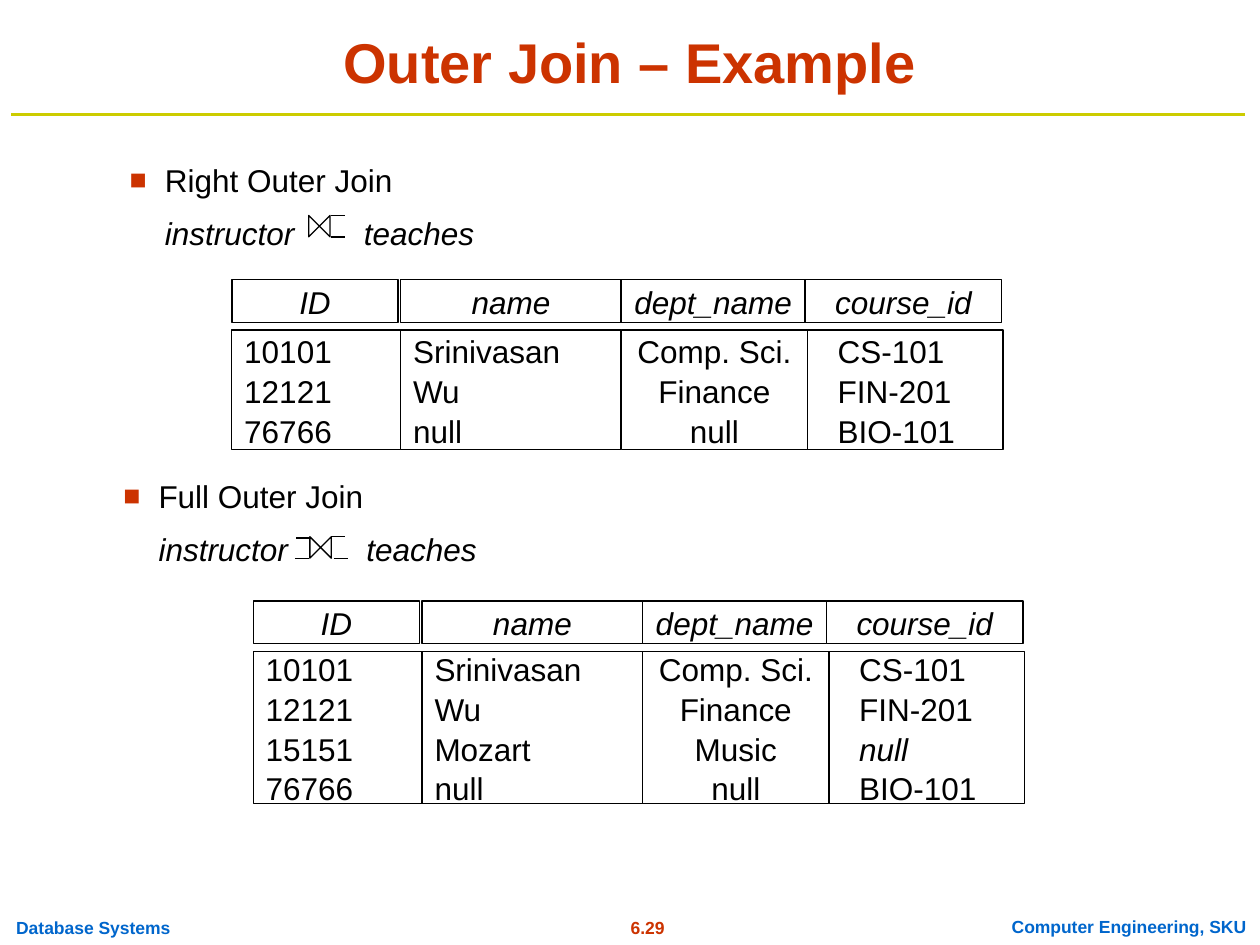
from lxml import etree
from pptx import Presentation
from pptx.dml.color import RGBColor
from pptx.enum.shapes import MSO_CONNECTOR, MSO_SHAPE
from pptx.enum.text import MSO_ANCHOR, PP_ALIGN
from pptx.oxml.ns import qn
from pptx.util import Inches, Pt

RED = RGBColor(0xCC, 0x33, 0x00)
BLUE = RGBColor(0x00, 0x66, 0xCC)
OLIVE = RGBColor(0xCC, 0xCC, 0x00)
BLACK = RGBColor(0, 0, 0)
WHITE = RGBColor(0xFF, 0xFF, 0xFF)
FONT = "Arial"
LEFT, CENTER = PP_ALIGN.LEFT, PP_ALIGN.CENTER

# Content
TITLE = "Outer Join – Example"
FOOTERS = [  # text, left, top, width, colour, alignment
    ("6.29", 4.65, 7.23, 0.98, RED, CENTER),
    ("Database Systems", 0.03, 7.23, 1.42, BLUE, LEFT),
    ("Computer Engineering, SKU", 7.93, 7.22, 2.06, BLUE, CENTER),
]
# Column: header, left offset, width, body left offset, body width, alignment, indent
COLUMNS = [
    ("ID", 0, 1.32, 0, 1.34, LEFT, 0),
    ("name", 1.34, 1.75, 1.34, 1.75, LEFT, 0),
    ("dept_name", 3.09, 1.46, 3.09, 1.48, CENTER, 0),
    ("course_id", 4.55, 1.56, 4.57, 1.55, LEFT, 0.14),
]
JOINS = [
    dict(heading="Right Outer Join", left=0.93, top=1.21, operand_tab=1.86,
         bowtie=(2.45, 1.71), bars=[(2.63, 1.71), (2.63, 1.88)],
         grid=(1.84, 2.22), body_height=0.95, italic_cells=[],
         rows=[("10101", "Srinivasan", "Comp. Sci.", "CS-101"),
               ("12121", "Wu", "Finance", "FIN-201"),
               ("76766", "null", "null", "BIO-101")]),
    dict(heading="Full Outer Join", left=0.88, top=3.72, operand_tab=1.93,
         bowtie=(2.46, 4.26),
         bars=[(2.35, 4.27), (2.34, 4.43), (2.65, 4.43), (2.63, 4.26)],
         grid=(2.01, 4.77), body_height=1.21, italic_cells=[(2, 3)],
         rows=[("10101", "Srinivasan", "Comp. Sci.", "CS-101"),
               ("12121", "Wu", "Finance", "FIN-201"),
               ("15151", "Mozart", "Music", "null"),
               ("76766", "null", "null", "BIO-101")]),
]
HEADER_HEIGHT, BODY_OFFSET = 0.34, 0.4
BOWTIE_SIZE, BAR_LENGTH = 0.17, 0.11
TEXT_INDENT = 0.28


def style(paragraph, size, color=BLACK, bold=False, italic=False, align=LEFT):
    paragraph.alignment = align
    for run in paragraph.runs:
        font = run.font
        font.name, font.size, font.bold, font.italic = FONT, Pt(size), bold, italic
        font.color.rgb = color


def add_line(shapes, x1, y1, x2, y2, color, width):
    line = shapes.add_connector(MSO_CONNECTOR.STRAIGHT, Inches(x1), Inches(y1),
                                Inches(x2), Inches(y2))
    line.line.color.rgb, line.line.width = color, Pt(width)
    etree.SubElement(line._element.spPr, qn("a:effectLst"))


def outline(shape):
    shape.shadow.inherit = False
    shape.line.color.rgb, shape.line.width = BLACK, Pt(0.75)


def add_bullet(paragraph):
    props = paragraph._p.get_or_add_pPr()
    props.set("marL", str(Inches(TEXT_INDENT)))
    props.set("indent", str(-Inches(TEXT_INDENT)))
    color = etree.SubElement(props, qn("a:buClr"))
    etree.SubElement(color, qn("a:srgbClr"), val=str(RED))
    etree.SubElement(props, qn("a:buSzPct"), val="90000")
    etree.SubElement(props, qn("a:buFont"), typeface=FONT)
    etree.SubElement(props, qn("a:buChar"), char="■")


def add_tabs(paragraph, positions):
    tabs = etree.SubElement(paragraph._p.get_or_add_pPr(), qn("a:tabLst"))
    for position in positions:
        etree.SubElement(tabs, qn("a:tab"), pos=str(Inches(position)), algn="l")


def add_box(left, top, width, height, lines, align=LEFT, header=False,
            indent=0, italic_lines=()):
    box = slide.shapes.add_shape(MSO_SHAPE.RECTANGLE, Inches(left), Inches(top),
                                 Inches(width), Inches(height))
    outline(box)
    box.fill.solid()
    box.fill.fore_color.rgb = WHITE
    frame = box.text_frame
    frame.word_wrap, frame.vertical_anchor = True, MSO_ANCHOR.MIDDLE
    if header:
        frame.margin_left = frame.margin_right = 0
    frame.text = "\n".join(lines)
    for number, paragraph in enumerate(frame.paragraphs):
        style(paragraph, 18, italic=header or number in italic_lines, align=align)
        paragraph.line_spacing = 1.05
        if indent:
            paragraph._p.get_or_add_pPr().set("marL", str(Inches(indent)))


def add_expression(join):
    box = slide.shapes.add_textbox(Inches(join["left"]), Inches(join["top"]),
                                   Inches(4.45), Inches(0.81))
    frame = box.text_frame
    frame.word_wrap = True
    frame.text = join["heading"] + "\n\tinstructor\tteaches"
    heading, operands = frame.paragraphs
    for paragraph in (heading, operands):
        style(paragraph, 18, italic=paragraph is operands)
        paragraph.line_spacing, paragraph.space_before = 1.05, Pt(7.9)
    add_bullet(heading)
    add_tabs(operands, [TEXT_INDENT, join["operand_tab"]])


def add_join_symbol(join):
    symbol = slide.shapes.add_group_shape().shapes
    x, y = join["bowtie"]
    bowtie = symbol.add_shape(MSO_SHAPE.FLOWCHART_COLLATE, Inches(x), Inches(y),
                              Inches(BOWTIE_SIZE), Inches(BOWTIE_SIZE))
    outline(bowtie)
    bowtie.fill.background()
    bowtie.rotation = 270
    for x, y in join["bars"]:
        add_line(symbol, x, y, x + BAR_LENGTH, y, BLACK, 0.75)


def add_relation(join):
    left, top = join["grid"]
    cells = zip(*join["rows"])
    for index, (column, values) in enumerate(zip(COLUMNS, cells)):
        name, x, width, body_x, body_width, align, indent = column
        italics = [row for row, col in join["italic_cells"] if col == index]
        add_box(left + x, top, width, HEADER_HEIGHT, [name], CENTER, header=True)
        add_box(left + body_x, top + BODY_OFFSET, body_width, join["body_height"],
                values, align, indent=indent, italic_lines=italics)


prs = Presentation()
prs.slide_width, prs.slide_height = Inches(10), Inches(7.5)
slide = prs.slides.add_slide(prs.slide_layouts[5])

# Title and rule
title = slide.shapes.title
title.left, title.top = Inches(0.12), Inches(0.13)
title.width, title.height = Inches(9.76), Inches(0.67)
title.text_frame.text = TITLE
title.text_frame.vertical_anchor = MSO_ANCHOR.BOTTOM
style(title.text_frame.paragraphs[0], 32, RED, bold=True, align=CENTER)
add_line(slide.shapes, 0.09, 0.91, 9.88, 0.91, OLIVE, 2)

# Footer
for text, left, top, width, color, align in FOOTERS:
    footer = slide.shapes.add_textbox(Inches(left), Inches(top), Inches(width), Inches(0.27))
    footer.text_frame.word_wrap = False
    footer.text_frame.text = text
    style(footer.text_frame.paragraphs[0], 10, color, bold=True, align=align)

# Joins with their result relations
for join in JOINS:
    add_expression(join)
    add_join_symbol(join)
    add_relation(join)

prs.save("out.pptx")
